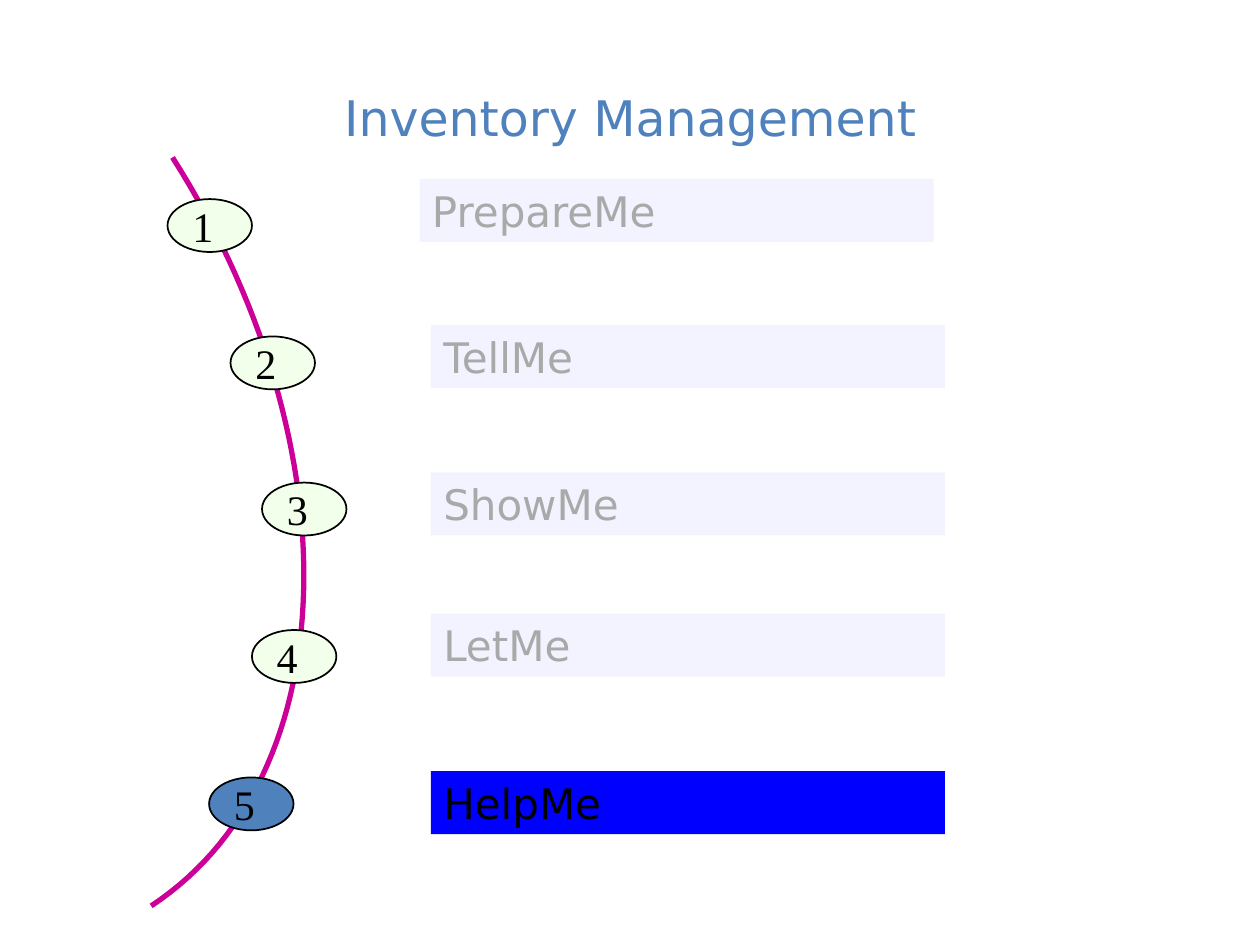
from pptx import Presentation
from pptx.dml.color import RGBColor
from pptx.enum.shapes import MSO_SHAPE
from pptx.enum.text import MSO_ANCHOR, MSO_AUTO_SIZE, PP_ALIGN
from pptx.util import Inches, Pt


def paint(color_format, color):
    color_format.rgb = RGBColor.from_string(color)


def write(shape, text, font="DejaVu Sans", size=24, color="000000",
          align=PP_ALIGN.LEFT, anchor=MSO_ANCHOR.MIDDLE, wrap=True,
          fit=MSO_AUTO_SIZE.NONE):
    frame = shape.text_frame
    frame.word_wrap = wrap
    frame.auto_size = fit
    frame.vertical_anchor = anchor
    paragraph = frame.paragraphs[0]
    paragraph.alignment = align
    run = paragraph.add_run()
    run.text = text
    run.font.name = font
    run.font.size = Pt(size)
    paint(run.font.color, color)


presentation = Presentation()
presentation.slide_width = Inches(10)
presentation.slide_height = Inches(7.5)
slide = presentation.slides.add_slide(presentation.slide_layouts[5])

title = slide.shapes.title
title.left, title.top = Inches(0.5), Inches(0.3)
title.width, title.height = Inches(9), Inches(1.25)
write(title, "Inventory Management", size=28, color="4F81BD", align=PP_ALIGN.CENTER)

curve_controls = [(1.37, 1.25), (2.82, 3.54), (2.75, 6.17), (1.2, 7.19)]
curve_points = []
steps = 60
for step in range(steps + 1):
    t = step / steps
    weights = [(1 - t) ** 3, 3 * t * (1 - t) ** 2, 3 * t ** 2 * (1 - t), t ** 3]
    x = sum(weight * point[0] for weight, point in zip(weights, curve_controls))
    y = sum(weight * point[1] for weight, point in zip(weights, curve_controls))
    curve_points.append((Inches(x), Inches(y)))

builder = slide.shapes.build_freeform(*curve_points[0])
builder.add_line_segments(curve_points[1:], close=False)
curve = builder.convert_to_shape()
curve.shadow.inherit = False
curve.fill.background()
paint(curve.line.color, "CC0099")
curve.line.width = Pt(3)

stages = [
    ("PrepareMe", 1.33, 1.58, 3.33, 1.42),
    ("TellMe", 1.83, 2.67, 3.42, 2.58),
    ("ShowMe", 2.08, 3.83, 3.42, 3.75),
    ("LetMe", 2, 5, 3.42, 4.87),
    ("HelpMe", 1.66, 6.17, 3.42, 6.12),
]
current_stage = "HelpMe"

for number, (name, oval_left, oval_top, bar_left, bar_top) in enumerate(stages, 1):
    active = name == current_stage

    oval = slide.shapes.add_shape(MSO_SHAPE.OVAL, Inches(oval_left), Inches(oval_top),
                                  Inches(0.67), Inches(0.42))
    oval.shadow.inherit = False
    oval.fill.solid()
    paint(oval.fill.fore_color, "4F81BD" if active else "F2FFEB")
    paint(oval.line.color, "000000")
    oval.line.width = Pt(1)
    write(oval, str(number), font="Times New Roman", wrap=False)

    bar = slide.shapes.add_shape(MSO_SHAPE.RECTANGLE, Inches(bar_left), Inches(bar_top),
                                 Inches(4.08), Inches(0.5))
    bar.shadow.inherit = False
    bar.fill.solid()
    paint(bar.fill.fore_color, "0000FF" if active else "F3F3FF")
    bar.line.fill.background()
    write(bar, name, color="000000" if active else "A9A9A9",
          anchor=MSO_ANCHOR.TOP, fit=MSO_AUTO_SIZE.SHAPE_TO_FIT_TEXT)

presentation.save("out.pptx")
